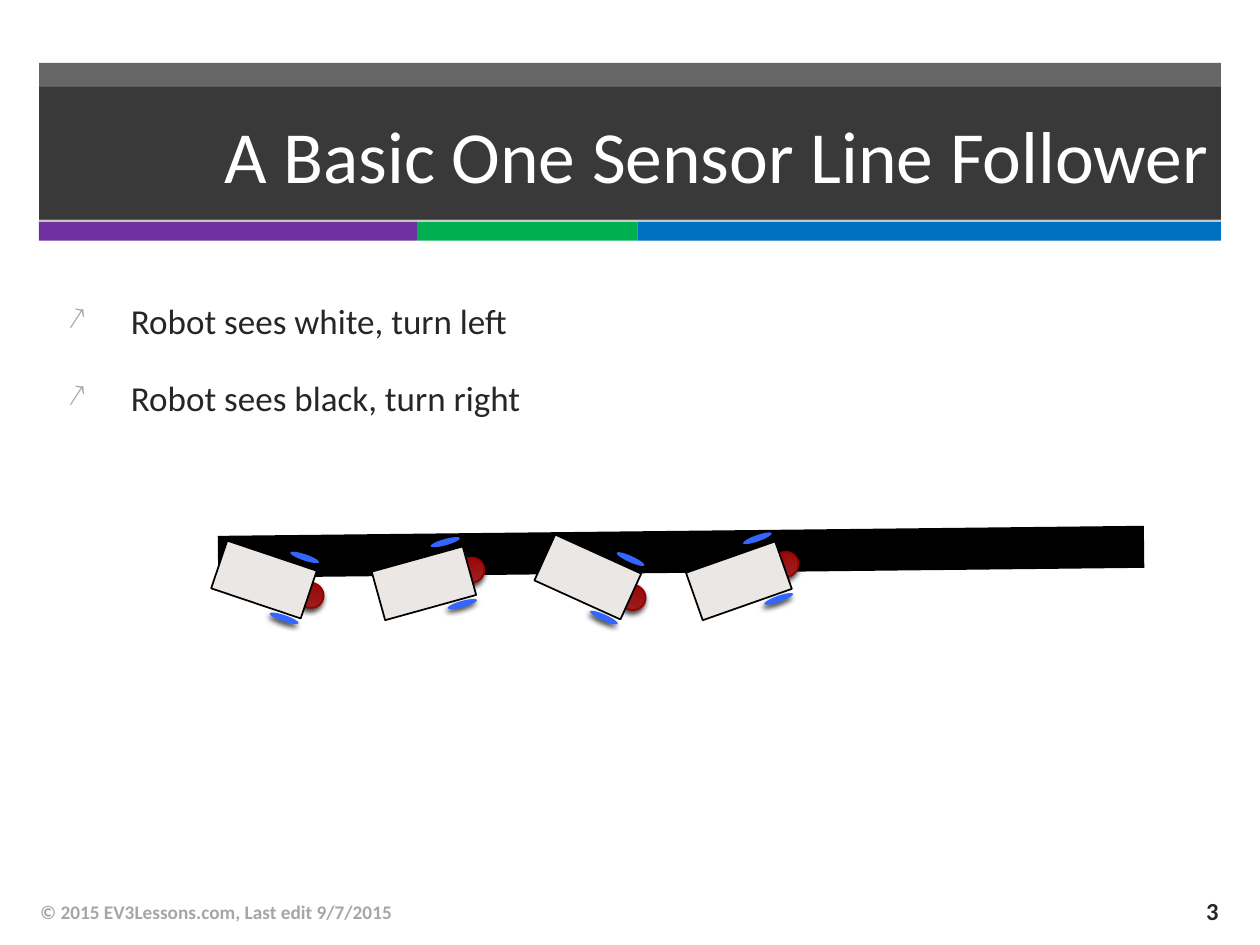
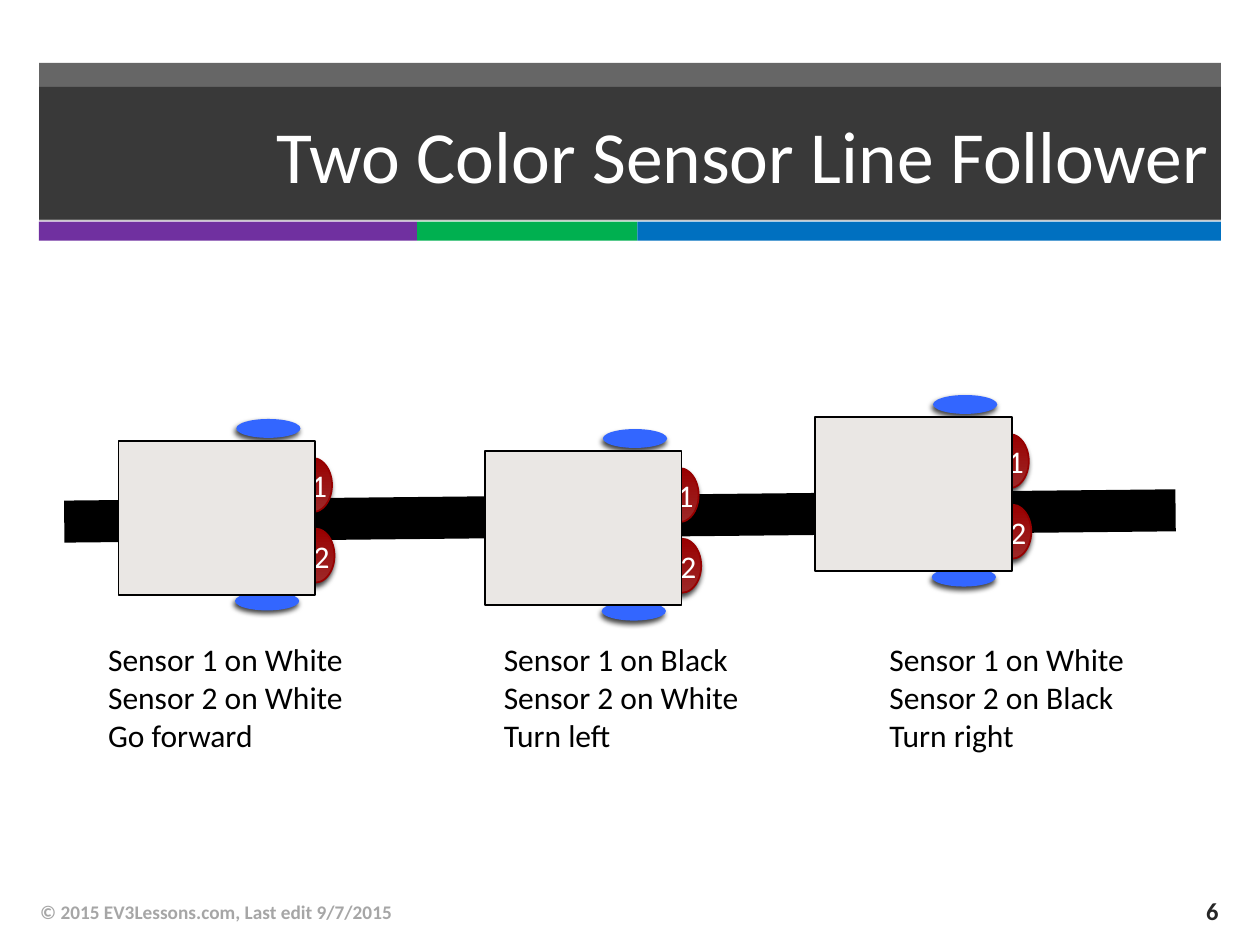
import math
import pptx
import pptx.util
import pptx.dml.color
import pptx.enum.shapes
import pptx.enum.text
import pptx.oxml
import pptx.oxml.ns
from lxml import etree

SCALE = 9144
FONT = "Calibri"
DARK, GREY, WHITE, BLACK = "262626", "A6A6A6", "FFFFFF", "000000"
BANDS = [(31, 300, "7030A0"), (331, 175, "00B050"), (506, 463, "0070C0")]
FOOT = "© 2015 EV3Lessons.com, Last edit 9/7/2015"

FORM = pptx.enum.shapes.MSO_SHAPE
ALIGN = pptx.enum.text.PP_ALIGN
MID = pptx.enum.text.MSO_ANCHOR.MIDDLE
qn = pptx.oxml.ns.qn

SMALL = (75, 40), [(None, 25, -27, 24, 5), (None, 25, 24, 24, 5),
                   ("", 39, 0, 21, 20)]
LARGE = (156, 122), [("2", 78, 30, 31, 43), (None, 41, -71, 51, 15),
                     (None, 40, 66, 51, 15), ("1", 76, -26, 31, 43)]


def px(n):
    return pptx.util.Emu(round(n * SCALE))


def rgb(code):
    return pptx.dml.color.RGBColor.from_string(code)


def node(parent, tag, **attrs):
    return etree.SubElement(parent, qn("a:" + tag),
                            {key: str(val) for key, val in attrs.items()})


class Deck:
    def __init__(self):
        self.prs = pptx.Presentation()
        self.prs.slide_width, self.prs.slide_height = px(1000), px(750)

    def start(self, title, page):
        self.slide = self.prs.slides.add_slide(self.prs.slide_layouts[6])
        self.pool = self.slide.shapes
        self.shape(31, 50, 938, 124, DARK, alpha=70)
        self.group()
        for x, w, hue in BANDS:
            self.shape(x, 176, w, 15, hue)
        self.pool = self.slide.shapes
        head = self.shape(31, 69, 938, 106, DARK, alpha=70)
        self.label(head, [title], 42, WHITE, align=ALIGN.RIGHT)
        self.text(22, 704, 670, 40, [FOOT], 11, GREY, bold=True, anchor=MID)
        self.text(908, 703, 69, 39, [page], 14, DARK, bold=True, anchor=MID,
                  align=ALIGN.RIGHT)

    def group(self):
        self.pool = self.slide.shapes.add_group_shape().shapes

    def shape(self, x, y, w, h, fill, line=None, form=FORM.RECTANGLE,
              turn=0, alpha=None):
        item = self.pool.add_shape(form, px(x), px(y), px(w), px(h))
        item.rotation = turn
        item.shadow.inherit = False
        item.fill.solid()
        item.fill.fore_color.rgb = rgb(fill)
        if alpha:
            hue = item._element.spPr.find(".//" + qn("a:srgbClr"))
            node(hue, "alpha", val=alpha * 1000)
        if line:
            item.line.color.rgb = rgb(line)
            item.line.width = pptx.util.Pt(1)
        else:
            item.line.fill.background()
        return item

    def shade(self, item):
        glow = node(item._element.spPr.find(qn("a:effectLst")), "outerShdw",
                    blurRad=pptx.util.Pt(3), dist=pptx.util.Pt(2),
                    dir=110 * 60000, rotWithShape=0)
        node(node(glow, "srgbClr", val=BLACK), "alpha", val=75000)

    def label(self, item, lines, size, hue, bold=False, align=ALIGN.LEFT,
              bullet=None, gap=0):
        frame = item.text_frame
        frame.word_wrap = True
        for i, line in enumerate(lines):
            para = frame.add_paragraph() if i else frame.paragraphs[0]
            para.text = line
            para.alignment = align
            if bullet:
                self.mark(para, bullet)
            if i and gap:
                para.space_before = pptx.util.Pt(gap)
            font = para.font
            font.name, font.size, font.bold = FONT, pptx.util.Pt(size), bold
            font.color.rgb = rgb(hue)

    def mark(self, para, sign):
        props = para._p.get_or_add_pPr()
        props.set("marL", str(px(50)))
        props.set("indent", str(px(-50)))
        node(node(props, "buClr"), "srgbClr", val=GREY)
        node(props, "buSzPct", val=90000)
        node(props, "buChar", char=sign)

    def text(self, x, y, w, h, lines, size, hue,
             anchor=pptx.enum.text.MSO_ANCHOR.TOP, **style):
        box = self.pool.add_textbox(px(x), px(y), px(w), px(h))
        box.text_frame.vertical_anchor = anchor
        self.label(box, lines, size, hue, **style)

    def track(self, *ends):
        line = self.pool.add_connector(
            pptx.enum.shapes.MSO_CONNECTOR.STRAIGHT, *map(px, ends))
        line.line.color.rgb = rgb(BLACK)
        line.line.width = pptx.util.Pt(24)
        node(line._element.spPr, "effectLst")

    def wheel(self, *place, turn):
        self.shade(self.shape(*place, "3366FF", form=FORM.OVAL, turn=turn))

    def sensor(self, *place, name, turn):
        eye = self.shape(*place, "990000", "960000", FORM.OVAL, turn)
        eye.fill.gradient()
        eye.fill.gradient_angle = 90
        for stop, hue in zip(eye.fill.gradient_stops, ("9D2828", "990000")):
            stop.color.rgb = rgb(hue)
        self.shade(eye)
        if name:
            self.label(eye, [name], 18, WHITE, align=ALIGN.CENTER)

    def robot(self, x, y, model, turn=0):
        (wide, high), parts = model
        cos, sin = math.cos(math.radians(turn)), math.sin(math.radians(turn))
        self.group()
        for name, dx, dy, w, h in parts:
            left = x + wide / 2 + dx * cos - dy * sin - w / 2
            top = y + high / 2 + dx * sin + dy * cos - h / 2
            if name is None:
                self.wheel(left, top, w, h, turn=turn)
            else:
                self.sensor(left, top, w, h, name=name, turn=turn)
        self.shape(x, y, wide, high, "EAE7E4", BLACK, turn=turn)
        self.pool = self.slide.shapes


def main():
    deck = Deck()

    deck.start("A Basic One Sensor Line Follower", "3")
    deck.text(44, 233, 601, 123,
              ["Robot sees white, turn left", "Robot sees black, turn right"],
              20, DARK, bullet="↗", gap=20)
    deck.track(908, 434, 173, 442)
    for x, y, turn in [(172, 440, 18.6), (299, 443, -15.5),
                       (429, 438, 24.4), (549, 441, -19.4)]:
        deck.robot(x, y, SMALL, turn)

    deck.start("Two Color Sensor Line Follower", "6")
    deck.track(933, 405, 51, 414)
    for x, y in [(94, 350), (385, 358), (647, 331)]:
        deck.robot(x, y, LARGE)
    for x, w, one, two, move in [
            (76, 260, "White", "White", "Go forward"),
            (390, 251, "Black", "White", "Turn left"),
            (696, 221, "White", "Black", "Turn right")]:
        deck.text(x, 503, w, 101,
                  [f"Sensor 1 on {one}", f"Sensor 2 on {two}", move],
                  18, BLACK)

    deck.prs.save("out.pptx")


if __name__ == "__main__":
    main()
